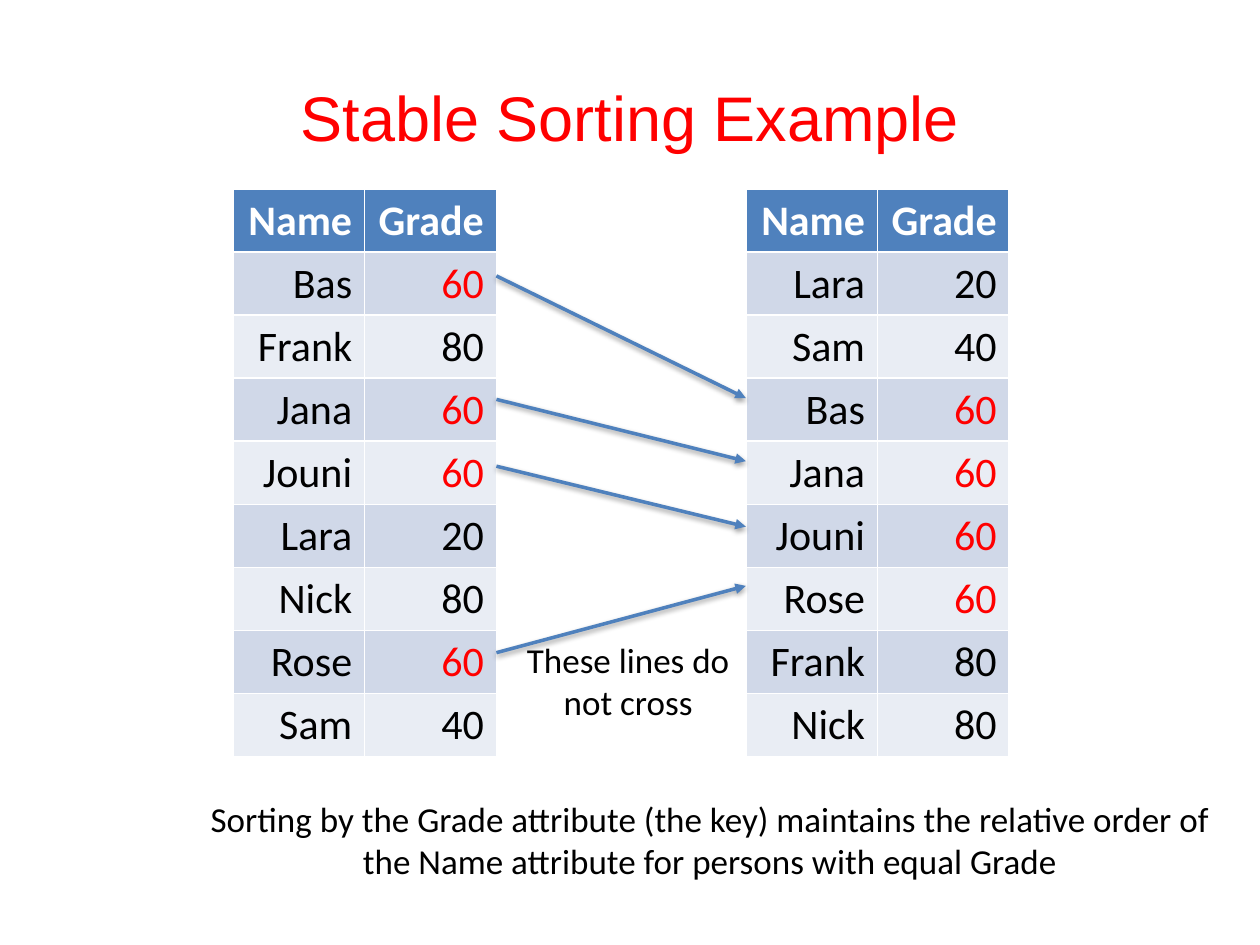
"""Build a slide that shows stable sorting with two linked tables."""
from dataclasses import dataclass

from lxml.etree import SubElement
from pptx import Presentation
from pptx.dml.color import RGBColor as Color
from pptx.enum.shapes import MSO_CONNECTOR as Connector
from pptx.enum.text import MSO_ANCHOR as Anchor, PP_ALIGN as Align
from pptx.oxml import parse_xml
from pptx.oxml.ns import nsdecls, qn
from pptx.util import Inches, Pt


@dataclass(frozen=True)
class Theme:
    accent: Color = Color.from_string("4F81BD")
    bands: tuple = (Color.from_string("E9EDF4"), Color.from_string("D0D8E8"))
    red: Color = Color.from_string("FF0000")
    black: Color = Color.from_string("000000")
    white: Color = Color.from_string("FFFFFF")
    heading_font: str = "Arial"
    body_font: str = "Calibri"
    title_size: int = 36
    table_size: int = 24
    note_size: int = 20


theme = Theme()
deck = Presentation()
deck.slide_width, deck.slide_height = Inches(10), Inches(7.5)
column, row = deck.slide_width / 100, deck.slide_height / 75
page = deck.slides.add_slide(deck.slide_layouts[6])


def place(left, top, width, height):
    return [int(size) for size in (left * column, top * row, width * column, height * row)]


def write(frame, text, size=theme.note_size, font=theme.body_font,
          color=theme.black, bold=False, align=Align.CENTER):
    para = frame.paragraphs[0]
    para.alignment = align
    span = para.add_run()
    span.text = text
    span.font.size, span.font.name = Pt(size), font
    span.font.bold, span.font.color.rgb = bold, color


title = page.shapes.add_textbox(*place(5, 3, 90, 12.5)).text_frame
title.word_wrap, title.vertical_anchor = True, Anchor.MIDDLE
write(title, "Stable Sorting Example", size=theme.title_size,
      font=theme.heading_font, color=theme.red)

table_top, table_width, table_height = 15, 20.9, 45
unsorted_left, sorted_left = 18.5, 59.2
people = [("Bas", 60), ("Frank", 80), ("Jana", 60), ("Jouni", 60),
          ("Lara", 20), ("Nick", 80), ("Rose", 60), ("Sam", 40)]
by_grade = sorted(people, key=lambda person: person[1])

for left, records in ((unsorted_left, people), (sorted_left, by_grade)):
    lines = [("Name", "Grade"), *records]
    area = place(left, table_top, table_width, table_height)
    table = page.shapes.add_table(len(lines), 2, *area).table
    for line_index, line in enumerate(lines):
        header = line_index == 0
        for column_index, value in enumerate(line):
            cell = table.cell(line_index, column_index)
            cell.fill.solid()
            cell.fill.fore_color.rgb = theme.accent if header else theme.bands[line_index % 2]
            ink = theme.white if header else theme.red if value == 60 else theme.black
            write(cell.text_frame, str(value), size=theme.table_size,
                  color=ink, bold=header, align=Align.RIGHT)

for start, end in ((21.9, 31.6), (31.7, 36.6), (37, 41.8), (51.8, 46.5)):
    ends = place(unsorted_left + table_width, start, sorted_left, end)
    arrow = page.shapes.add_connector(Connector.STRAIGHT, *ends)
    arrow.line.color.rgb, arrow.line.width = theme.accent, Pt(2)
    SubElement(arrow.line._get_or_add_ln(), qn("a:tailEnd"), type="triangle")
    arrow._element.spPr.append(parse_xml(
        f'<a:effectLst {nsdecls("a")}>'
        '<a:outerShdw blurRad="40000" dist="20000" dir="5400000" rotWithShape="0">'
        f'<a:srgbClr val="{theme.black}"><a:alpha val="38000"/></a:srgbClr>'
        '</a:outerShdw></a:effectLst>'))

notes = [
    ((15.7, 62.8, 81.3, 7.7),
     "Sorting by the Grade attribute (the key) maintains the relative order of "
     "the Name attribute for persons with equal Grade"),
    ((39.4, 50.2, 20.9, 7.7), "These lines do not cross"),
]
for area, text in notes:
    box = page.shapes.add_textbox(*place(*area))
    box.text_frame.word_wrap = True
    write(box.text_frame, text)

deck.save("out.pptx")
